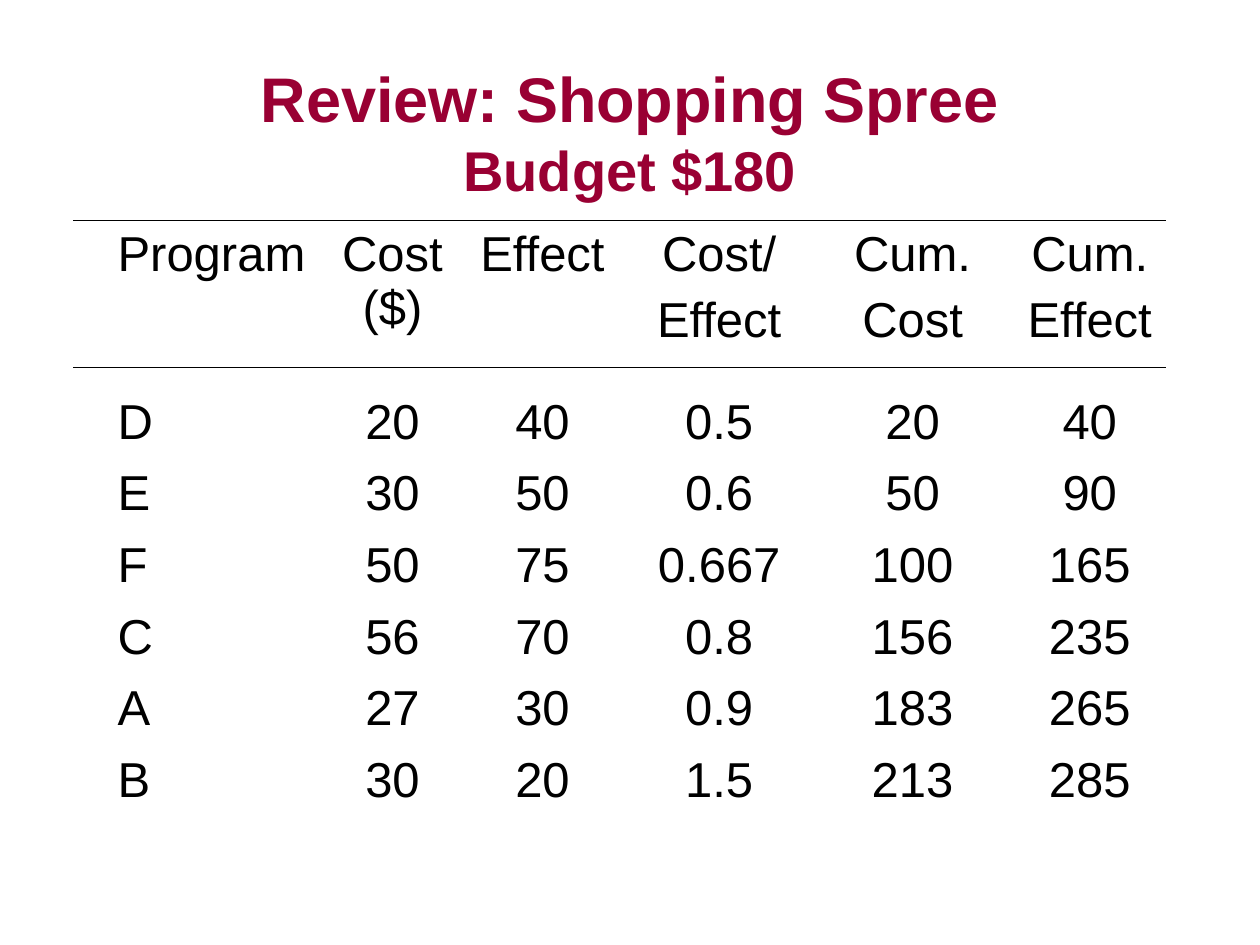
from dataclasses import dataclass

from lxml.etree import SubElement
from pptx import Presentation
from pptx.dml.color import RGBColor
from pptx.enum.shapes import MSO_CONNECTOR
from pptx.enum.text import MSO_ANCHOR, PP_ALIGN
from pptx.oxml.ns import qn
from pptx.util import Pt

CRIMSON = "990033"
BLACK = "000000"
HEADER_HEIGHT = 96
PROGRAM_HEIGHT = 41


@dataclass(frozen=True)
class Column:
    heading: tuple[str, ...]
    width: float
    align: PP_ALIGN = PP_ALIGN.CENTER


@dataclass(frozen=True)
class Rule:
    left: float
    right: float
    top: float


COLUMNS = (
    Column(("Program",), 126, PP_ALIGN.LEFT),
    Column(("Cost ($)",), 76.5),
    Column(("Effect",), 95),
    Column(("Cost/", "Effect"), 107),
    Column(("Cum.", "Cost"), 114),
    Column(("Cum.", "Effect"), 88.5),
)
PROGRAMS = (
    ("D", "20", "40", "0.5", "20", "40"),
    ("E", "30", "50", "0.6", "50", "90"),
    ("F", "50", "75", "0.667", "100", "165"),
    ("C", "56", "70", "0.8", "156", "235"),
    ("A", "27", "30", "0.9", "183", "265"),
    ("B", "30", "20", "1.5", "213", "285"),
)
RULES = (Rule(42, 666, 210), Rule(42, 666, 126))


def apply(target, formats: dict) -> None:
    for attribute, value in formats.items():
        setattr(target, attribute, value)


def paint(color_format, hex_color: str) -> None:
    color_format.rgb = RGBColor.from_string(hex_color)


def write_run(paragraph, text: str, size: float, color: str, bold: bool) -> None:
    run = paragraph.add_run()
    run.text = text
    apply(run.font, {"name": "Arial", "size": Pt(size), "bold": bold})
    paint(run.font.color, color)


def write_title(title) -> None:
    apply(title, {"left": Pt(54), "top": Pt(30), "width": Pt(612), "height": Pt(90)})
    frame = title.text_frame
    apply(frame, {"word_wrap": True, "vertical_anchor": MSO_ANCHOR.MIDDLE})
    heading = frame.paragraphs[0]
    heading.alignment = PP_ALIGN.CENTER
    write_run(heading, "Review: Shopping Spree", 36, CRIMSON, True)
    heading.add_line_break()
    write_run(heading, "Budget $180", 32, CRIMSON, True)


def fill_cell(cell, lines: tuple[str, ...], align: PP_ALIGN) -> None:
    cell.fill.background()
    cell.vertical_anchor = MSO_ANCHOR.TOP
    frame = cell.text_frame
    for index, line in enumerate(lines):
        paragraph = frame.add_paragraph() if index else frame.paragraphs[0]
        apply(paragraph, {"alignment": align, "space_before": Pt(7 if index else 0)})
        write_run(paragraph, line, 28, BLACK, False)


def add_program_table(slide) -> None:
    width = sum(column.width for column in COLUMNS)
    height = HEADER_HEIGHT + PROGRAM_HEIGHT * len(PROGRAMS)
    programs = slide.shapes.add_table(
        len(PROGRAMS) + 1, len(COLUMNS), Pt(60), Pt(126), Pt(width), Pt(height)
    ).table
    apply(programs, {"first_row": False, "horz_banding": False})
    for row_index, row in enumerate(programs.rows):
        row.height = Pt(PROGRAM_HEIGHT if row_index else HEADER_HEIGHT)
    for column_index, column in enumerate(COLUMNS):
        programs.columns[column_index].width = Pt(column.width)
        entries = [column.heading, *((program[column_index],) for program in PROGRAMS)]
        for row_index, lines in enumerate(entries):
            fill_cell(programs.cell(row_index, column_index), lines, column.align)


def add_rule(slide, rule: Rule) -> None:
    connector = slide.shapes.add_connector(
        MSO_CONNECTOR.STRAIGHT,
        Pt(rule.left), Pt(rule.top), Pt(rule.right), Pt(rule.top),
    )
    connector.line.width = Pt(1)
    paint(connector.line.color, BLACK)
    SubElement(connector._element.spPr, qn("a:effectLst"))


def main() -> None:
    presentation = Presentation()
    apply(presentation, {"slide_width": Pt(720), "slide_height": Pt(540)})
    slide = presentation.slides.add_slide(presentation.slide_layouts[5])
    write_title(slide.shapes.title)
    add_program_table(slide)
    for rule in RULES:
        add_rule(slide, rule)
    presentation.save("out.pptx")


if __name__ == "__main__":
    main()
